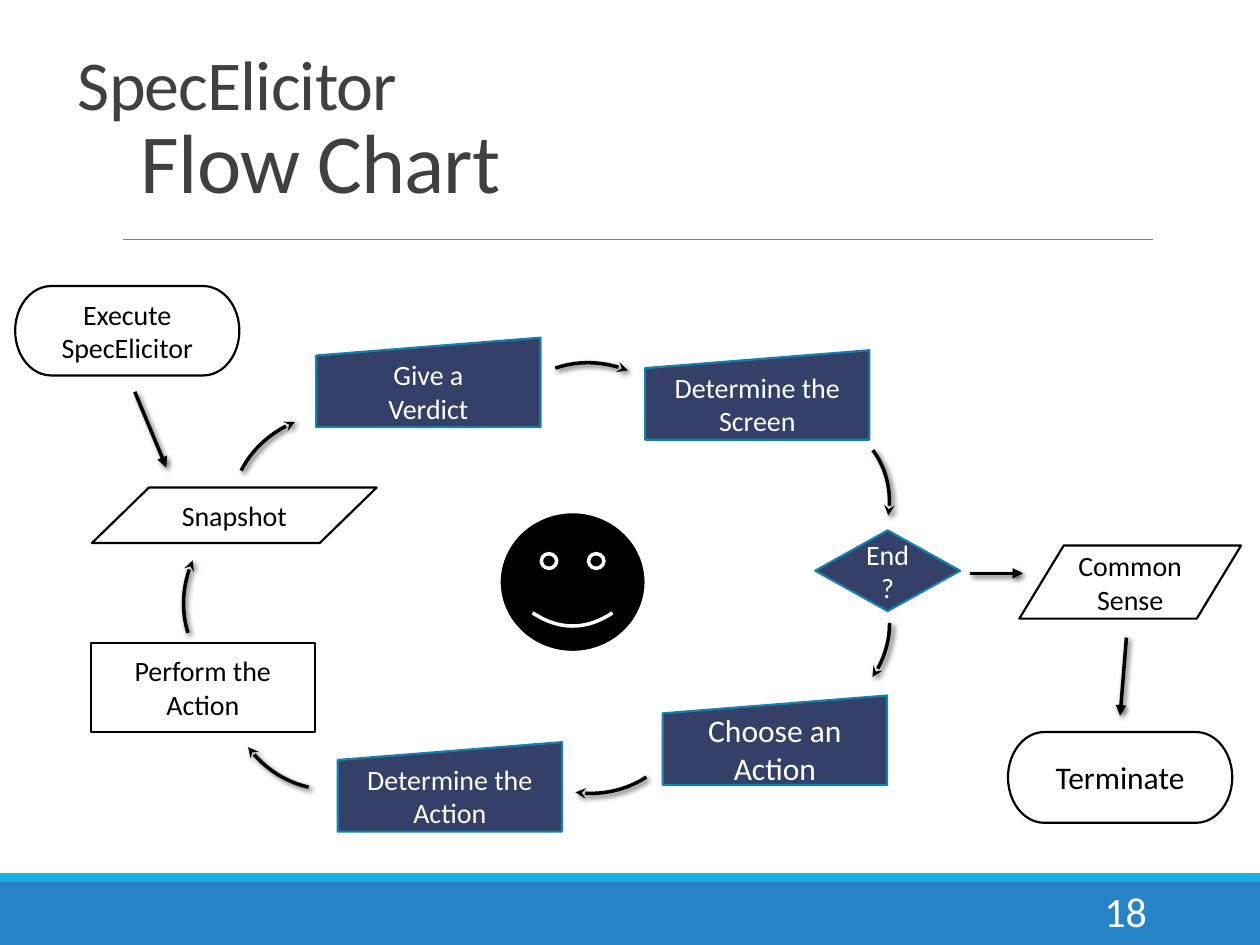
import pptx
import pptx.dml.color
import pptx.enum.shapes
import pptx.enum.text
import pptx.oxml.ns
import pptx.util
from lxml import etree

Inches = pptx.util.Inches
Pt = pptx.util.Pt
qn = pptx.oxml.ns.qn
SHAPE = pptx.enum.shapes.MSO_SHAPE
ALIGN = pptx.enum.text.PP_ALIGN
ANCHOR = pptx.enum.text.MSO_ANCHOR

COLORS = {
    "black": "000000",
    "white": "FFFFFF",
    "title": "404040",
    "rule": "808080",
    "navy": "344068",
    "teal": "1580A9",
    "band": "2683C6",
    "stripe": "1CADE4",
}


class FlowSlide:
    """Holds the deck style and draws the elements of one flow chart slide."""

    font = "Calibri"

    def __init__(self, prs):
        self.s = prs.slides.add_slide(prs.slide_layouts[6])

    def color(self, name):
        return pptx.dml.color.RGBColor.from_string(COLORS[name])

    def format_run(self, r, size, color):
        r.font.name = self.font
        r.font.size = Pt(size)
        r.font.color.rgb = self.color(color)

    def stroke(self, sp, color, width):
        sp.line.color.rgb = self.color(color)
        sp.line.width = Pt(width)

    def effects(self, sp, head=None):
        spPr = sp._element.spPr
        if head:
            etree.SubElement(spPr.find(qn("a:ln")), qn("a:tailEnd"), type=head)
        effects = etree.SubElement(spPr, qn("a:effectLst"))
        if head:
            shadow = etree.SubElement(
                effects, qn("a:outerShdw"), blurRad=str(Pt(3)), dist=str(Pt(2)),
                dir="2700000", algn="tl", rotWithShape="0")
            clr = etree.SubElement(shadow, qn("a:srgbClr"), val=COLORS["black"])
            etree.SubElement(clr, qn("a:alpha"), val="60000")

    def shape(self, kind, box, fill, line=None, width=1.25):
        sp = self.s.shapes.add_shape(kind, *map(Inches, box))
        sp.shadow.inherit = False
        sp.fill.solid()
        sp.fill.fore_color.rgb = self.color(fill)
        if line:
            self.stroke(sp, line, width)
        else:
            sp.line.fill.background()
        return sp

    def step(self, kind, box, text, size=16, dark=False):
        fill, line, ink = ("navy", "teal", "white") if dark else ("white", "black", "black")
        tf = self.shape(kind, box, fill, line).text_frame
        tf.text = text
        tf.word_wrap = True
        tf.vertical_anchor = ANCHOR.MIDDLE
        for p in tf.paragraphs:
            p.alignment = ALIGN.CENTER
            for r in p.runs:
                self.format_run(r, size, ink)

    def text(self, box, text, sizes, color, anchor, align=ALIGN.LEFT):
        tf = self.s.shapes.add_textbox(*map(Inches, box)).text_frame
        tf.word_wrap = True
        tf.vertical_anchor = anchor
        p = tf.paragraphs[0]
        p.text = text
        p.alignment = align
        for r, size in zip(p.runs, sizes):
            self.format_run(r, size, color)
        return p

    def title(self, box, text, sizes):
        p = self.text(box, text, sizes, "title", ANCHOR.BOTTOM)
        p.line_spacing = 0.85
        for r in p.runs:
            r.font._element.set("spc", "-50")

    def line(self, start, end, color="black", width=2, head=None):
        sp = self.s.shapes.add_connector(
            pptx.enum.shapes.MSO_CONNECTOR.STRAIGHT, *map(Inches, (*start, *end)))
        self.stroke(sp, color, width)
        self.effects(sp, head)

    def arc(self, box, rotation):
        sp = self.s.shapes.add_shape(SHAPE.ARC, *map(Inches, box))
        sp.adjustments[0] = 162
        sp.adjustments[1] = 183.615
        sp.rotation = rotation
        sp.fill.background()
        self.stroke(sp, "black", 2)
        self.effects(sp, "stealth")


def main():
    prs = pptx.Presentation()
    prs.slide_width, prs.slide_height = Inches(10), Inches(7.5)
    s = FlowSlide(prs)

    s.shape(SHAPE.RECTANGLE, (0, 7, 10, 0.5), "band")
    s.shape(SHAPE.RECTANGLE, (0, 6.93, 10, 0.07), "stripe")
    s.line((0.98, 1.9), (9.15, 1.9), "rule", 0.5)
    s.title((0.52, 0.13, 9.01, 1.59), "SpecElicitor\v\tFlow Chart", (40, 48))
    s.text((8.12, 7.03, 1.08, 0.4), "18", (24,), "white", ANCHOR.MIDDLE, ALIGN.RIGHT)

    w, h = 1.78, 0.71
    s.step(SHAPE.FLOWCHART_TERMINATOR, (0.12, 2.27, w, h), "Execute\nSpecElicitor")
    s.step(SHAPE.FLOWCHART_DATA, (0.73, 3.87, 2.26, 0.44), "Snapshot")
    s.step(SHAPE.FLOWCHART_PROCESS, (0.72, 5.1, w, h), "Perform the\nAction")
    for x, y, text, size in (
        (2.51, 2.68, "Give a\nVerdict", 16),
        (5.12, 2.78, "Determine the\nScreen", 16),
        (2.68, 5.89, "Determine the\nAction", 16),
        (5.26, 5.52, "Choose an\nAction", 18),
    ):
        s.step(SHAPE.FLOWCHART_MANUAL_INPUT, (x, y, w, h), text, size, dark=True)
    s.step(SHAPE.FLOWCHART_DECISION, (6.47, 4.21, 1.15, 0.64), "End?", dark=True)
    s.step(SHAPE.FLOWCHART_DATA, (8.09, 4.33, 1.76, 0.58), "Common Sense")
    s.step(SHAPE.FLOWCHART_TERMINATOR, (8, 5.81, w, 0.72), "Terminate", 18)

    arc_w, arc_h = 1.73, 1.89
    for box, rotation in (
        ((1.89, 3.22, arc_w, arc_h), 297.1),
        ((3.85, 2.87, arc_w, arc_h), 341),
        ((5.47, 3.22, 1.5, 1.77), 53.1),
        ((5.6, 4.22, 1.47, 1.45), 90),
        ((3.75, 4.43, arc_w, arc_h), 147),
        ((1.79, 4.38, arc_w, arc_h), 192.6),
        ((1.53, 3.8, arc_w, arc_h), 253),
    ):
        s.arc(box, rotation)

    for start, end in (
        ((7.7, 4.55), (8.12, 4.55)),
        ((1.07, 3.11), (1.32, 3.71)),
        ((8.94, 5.06), (8.89, 5.68)),
    ):
        s.line(start, end, head="triangle")
    s.shape(SHAPE.SMILEY_FACE, (3.96, 4.06, 1.17, 1.12), "black", "white", 2)

    prs.save("out.pptx")


if __name__ == "__main__":
    main()
